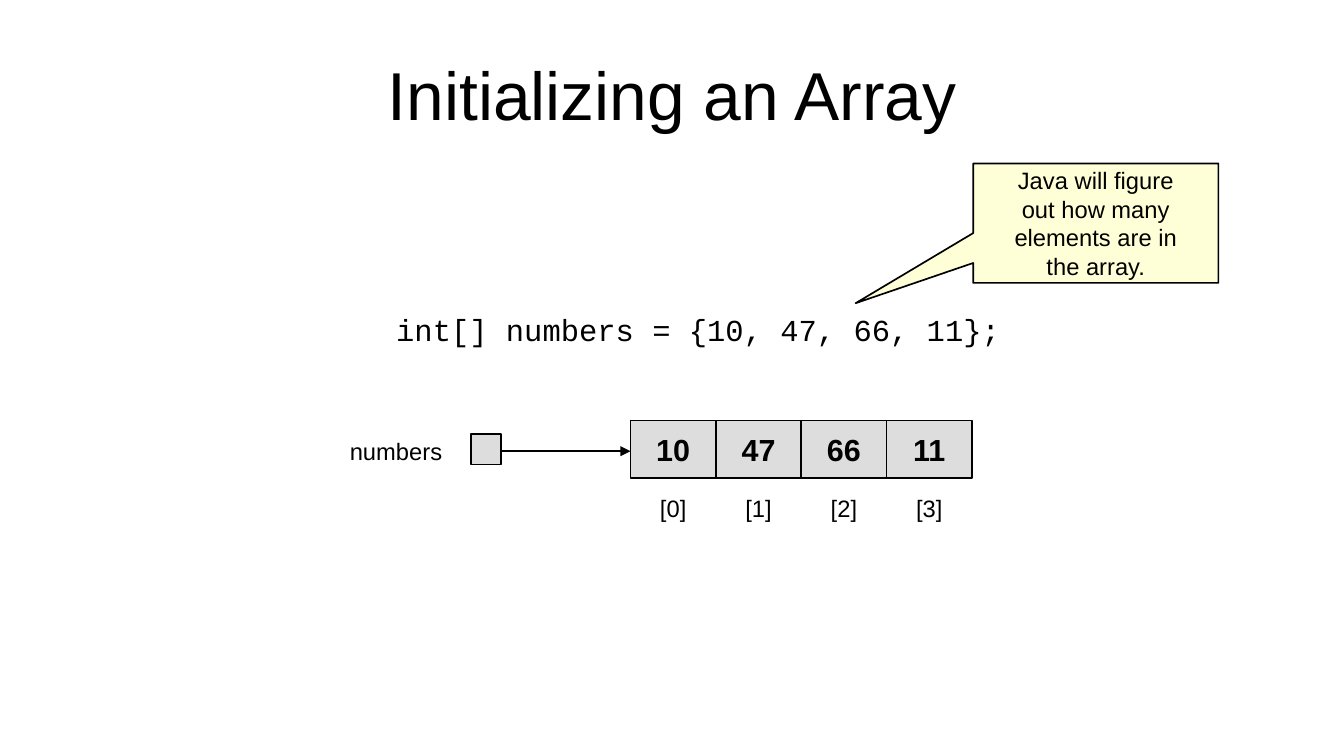
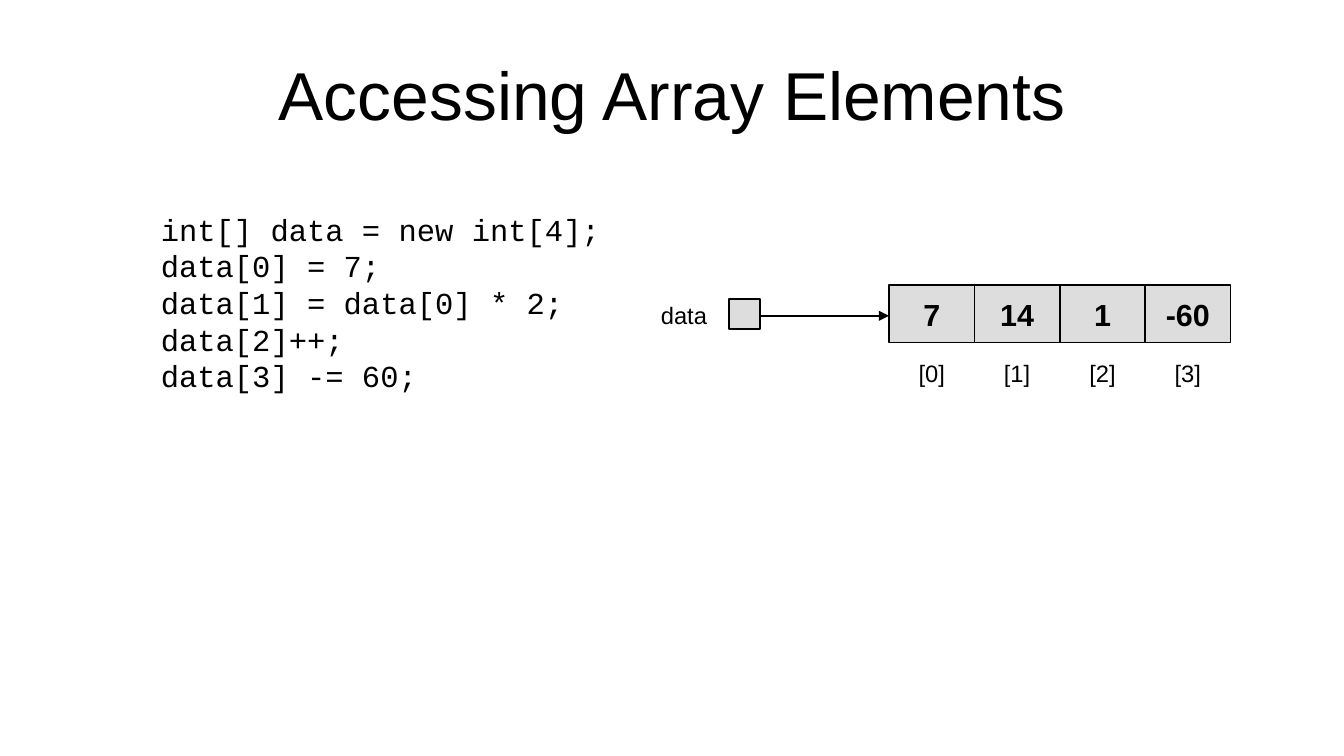
import pptx
import pptx.util
import pptx.dml.color
import pptx.enum.shapes
import pptx.enum.text
import pptx.oxml
import pptx.oxml.ns
import lxml.etree

Inches, Pt = pptx.util.Inches, pptx.util.Pt
SHAPE = pptx.enum.shapes.MSO_SHAPE
ALIGN = pptx.enum.text.PP_ALIGN
ANCHOR = pptx.enum.text.MSO_ANCHOR
AUTO = pptx.enum.text.MSO_AUTO_SIZE
qn = pptx.oxml.ns.qn

COLORS = {"text": "000000", "line": "000000", "cell": "DDDDDD", "note": "FFFFD7"}
FONTS = {
    "title": {"name": "Arial", "size": Pt(40), "bold": False},
    "code": {"name": "Courier New", "size": Pt(18), "bold": False},
    "value": {"name": "Arial", "size": Pt(18), "bold": True},
    "label": {"name": "Arial", "size": Pt(14), "bold": False},
}
LINE_W = Pt(0.99)
CELL_W, CELL_H = 0.7, 0.47
INDEX_W, LABEL_H = 0.42, 0.32
POINTER = 0.25


def rgb(name):
    """Return the named palette colour."""
    return pptx.dml.color.RGBColor.from_string(COLORS[name])


def write(sp, lines, font, align, anchor, ins, wrap=False):
    """Put formatted lines of text into a shape."""
    tf = sp.text_frame
    frame = {
        "word_wrap": wrap, "auto_size": AUTO.NONE, "vertical_anchor": anchor,
        "margin_left": Inches(ins[0]), "margin_right": Inches(ins[0]),
        "margin_top": Inches(ins[1]), "margin_bottom": Inches(ins[1]),
    }
    for key, value in frame.items():
        setattr(tf, key, value)
    for i, line in enumerate(lines):
        p = tf.paragraphs[0] if i == 0 else tf.add_paragraph()
        p.alignment = align
        r = p.add_run()
        r.text = line
        for key, value in FONTS[font].items():
            setattr(r.font, key, value)
        r.font.color.rgb = rgb("text")


def add_text(s, box, lines, font, align=ALIGN.LEFT):
    """Add a text box with top-anchored lines."""
    sp = s.shapes.add_textbox(*map(Inches, box))
    write(sp, lines, font, align, ANCHOR.TOP, (0.1, 0.05))


def add_box(s, kind, box, fill, lines=(), font="label"):
    """Add an outlined shape with centred lines."""
    sp = s.shapes.add_shape(kind, *map(Inches, box))
    sp.shadow.inherit = False
    sp.fill.solid()
    sp.fill.fore_color.rgb = rgb(fill)
    sp.line.color.rgb = rgb("line")
    sp.line.width = LINE_W
    write(sp, lines, font, ALIGN.CENTER, ANCHOR.MIDDLE, (0.11, 0.06))
    return sp


def add_arrow(s, x1, y1, x2, y2):
    """Add a straight arrow ending in a triangle."""
    cx = s.shapes.add_connector(
        pptx.enum.shapes.MSO_CONNECTOR.STRAIGHT, *map(Inches, (x1, y1, x2, y2)))
    cx.line.color.rgb = rgb("line")
    cx.line.width = LINE_W
    lxml.etree.SubElement(cx.line._get_or_add_ln(), qn("a:tailEnd"), type="triangle")
    lxml.etree.SubElement(cx._element.spPr, qn("a:effectLst"))


def add_array(s, x, y, values, name, name_dx, name_w):
    """Draw an array at x, y with its indices and the variable pointing to it."""
    for i, value in enumerate(values):
        left = x + i * CELL_W
        add_box(s, SHAPE.RECTANGLE, (left, y, CELL_W, CELL_H), "cell", [value], "value")
        add_text(s, (left + (CELL_W - INDEX_W) / 2, y + 0.55, INDEX_W, LABEL_H),
                 [f"[{i}]"], "label", ALIGN.CENTER)
    pointer_x = x - 1.31
    add_box(s, SHAPE.RECTANGLE, (pointer_x, y + 0.11, POINTER, POINTER), "cell")
    add_arrow(s, pointer_x + POINTER, y + 0.25, x, y + 0.25)
    add_text(s, (x - name_dx, y + 0.08, name_w, LABEL_H), [name], "label")


def add_callout(s, box, lines, tip):
    """Add a note whose tip is given relative to its size."""
    sp = add_box(s, SHAPE.RECTANGULAR_CALLOUT, box, "note", lines)
    for i, value in enumerate(tip):
        sp.adjustments[i] = value


def add_slide(prs, title):
    """Add a slide with the shared title style."""
    s = prs.slides.add_slide(prs.slide_layouts[5])
    sp = s.shapes.title
    place = {"left": 0.55, "top": 0.25, "width": 9.92, "height": 1.04}
    for key, value in place.items():
        setattr(sp, key, Inches(value))
    write(sp, [title], "title", ALIGN.CENTER, ANCHOR.MIDDLE, (0, 0), wrap=True)
    return s


def initializing_slide(prs):
    """Build the slide on array initializers."""
    s = add_slide(prs, "Initializing an Array")
    add_text(s, (3.15, 2.5, 5.15, 0.38), ["int[] numbers = {10, 47, 66, 11};"], "code")
    add_array(s, 5.17, 3.45, ["10", "47", "66", "11"], "numbers", 2.4, 0.96)
    add_callout(s, (7.98, 1.34, 2.01, 0.98),
                ["Java will figure", "out how many", "elements are in", "the array."],
                (-0.98, 0.67))


def accessing_slide(prs):
    """Build the slide on reading and writing elements."""
    s = add_slide(prs, "Accessing Array Elements")
    add_text(s, (1.22, 1.68, 3.8, 2.3),
             ["int[] data = new int[4];", "data[0] = 7;", "data[1] = data[0] * 2;",
              "data[2]++;", "data[3] -= 60;"], "code")
    add_array(s, 7.29, 2.34, ["7", "14", "1", "-60"], "data", 1.97, 0.58)


def main():
    """Build and save the presentation."""
    prs = pptx.Presentation()
    prs.slide_width, prs.slide_height = Inches(11.02), Inches(6.2)
    initializing_slide(prs)
    accessing_slide(prs)
    prs.save("out.pptx")


main()
